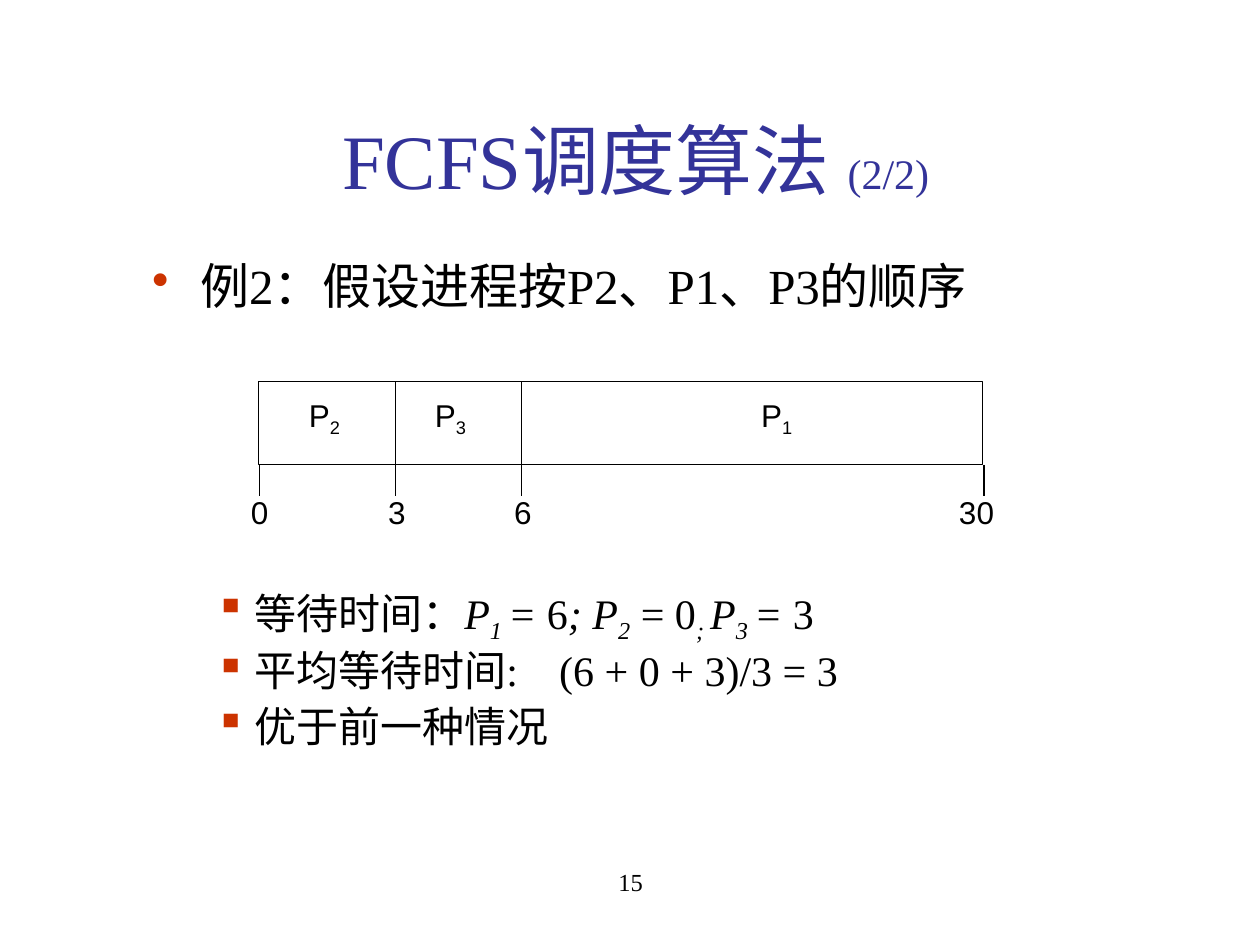
from lxml.etree import SubElement
from pptx import Presentation
from pptx.dml.color import RGBColor
from pptx.enum.shapes import MSO_CONNECTOR, MSO_SHAPE
from pptx.enum.text import MSO_ANCHOR, PP_ALIGN
from pptx.oxml.ns import qn
from pptx.util import Inches, Pt

BLACK = RGBColor(0x00, 0x00, 0x00)
WHITE = RGBColor(0xFF, 0xFF, 0xFF)
BLUE = RGBColor(0x33, 0x33, 0x99)
RED = RGBColor(0xCC, 0x33, 0x00)
SERIF = "Times New Roman"
SANS = "Arial"
CHINESE = "Noto Sans CJK SC"


def add_text(left, top, width, height, wrap=True, anchor=MSO_ANCHOR.MIDDLE):
    box = slide.shapes.add_textbox(Inches(left), Inches(top), Inches(width), Inches(height))
    frame = box.text_frame
    frame.word_wrap = wrap
    frame.vertical_anchor = anchor
    frame.paragraphs[0].alignment = PP_ALIGN.CENTER
    return frame


def add_run(paragraph, text, baseline=0, **values):
    run = paragraph.add_run()
    run.text = text
    run.font.color.rgb = values.pop("color", BLACK)
    for name, value in values.items():
        setattr(run.font, name, value)
    SubElement(run.font._element, qn("a:ea"), typeface=CHINESE)
    if baseline:
        run.font._element.set("baseline", str(baseline))


presentation = Presentation()
presentation.slide_width = Inches(10)
presentation.slide_height = Inches(7.5)
slide = presentation.slides.add_slide(presentation.slide_layouts[6])

title = add_text(0.71, 1.01, 8.67, 0.5).paragraphs[0]
for text, font, size in [("FCFS", SERIF, 44), ("调度算法 ", CHINESE, 44), ("(2/2)", SERIF, 24)]:
    add_run(title, text, name=font, size=Pt(size), color=BLUE)

serif = {"name": SERIF}
italic = {"name": SERIF, "italic": True}
subscript = {**italic, "baseline": -25000}
chinese = {"name": CHINESE}
items = [
    (0, 0, [("例2：假设进程按P2、P1、P3的顺序", serif)]),
    (1, 156, [
        ("等待时间：", chinese), ("P", italic), ("1 ", subscript), ("=", italic),
        (" 6", serif), ("; P", italic), ("2", subscript), (" = 0", serif),
        ("; ", subscript), ("P", italic), ("3 ", subscript), ("= ", italic), ("3", serif),
    ]),
    (1, 6, [("平均等待时间", chinese), (":\t(6 + 0 + 3)/3 = 3", serif)]),
    (1, 6, [("优于前一种情况", chinese)]),
]
levels = [
    {"margin": 0.38, "indent": -0.38, "bullet": "•", "size": 28},
    {"margin": 0.81, "indent": -0.31, "bullet": "▪", "size": 24},
]
body = add_text(1.11, 2.03, 8.25, 4.5, anchor=MSO_ANCHOR.TOP)
for index, (level, space, runs) in enumerate(items):
    style = levels[level]
    paragraph = body.paragraphs[0] if index == 0 else body.add_paragraph()
    formats = {"alignment": PP_ALIGN.LEFT, "level": level, "line_spacing": 0.9, "space_before": Pt(space)}
    for name, value in formats.items():
        setattr(paragraph, name, value)
    properties = paragraph._p.get_or_add_pPr()
    properties.set("marL", str(Inches(style["margin"])))
    properties.set("indent", str(Inches(style["indent"])))
    bullet_color = SubElement(properties, qn("a:buClr"))
    SubElement(bullet_color, qn("a:srgbClr"), val=str(RED))
    SubElement(properties, qn("a:buChar"), char=style["bullet"])
    tabs = SubElement(properties, qn("a:tabLst"))
    SubElement(tabs, qn("a:tab"), pos=str(Inches(3.23)), algn="l")
    for text, values in runs:
        add_run(paragraph, text, size=Pt(style["size"]), **values)

bar_top, bar_bottom, tick_bottom = 3.03, 3.69, 3.94
bar = slide.shapes.add_shape(
    MSO_SHAPE.RECTANGLE, Inches(2.05), Inches(bar_top), Inches(5.75), Inches(bar_bottom - bar_top))
bar.shadow.inherit = False
bar.fill.solid()
bar.fill.fore_color.rgb = WHITE
bar.line.color.rgb = BLACK
bar.line.width = Pt(0.75)

for number, left in [("2", 2.35), ("3", 3.35), ("1", 5.94)]:
    process = add_text(left, 3.09, 0.45, 0.44, wrap=False).paragraphs[0]
    add_run(process, "P", name=SANS, size=Pt(18))
    add_run(process, number, baseline=-25000, name=SANS, size=Pt(18))

ticks = [(2.06, bar_bottom), (3.14, bar_top), (4.14, bar_top), (7.81, bar_bottom)]
for x, top in ticks:
    line = slide.shapes.add_connector(
        MSO_CONNECTOR.STRAIGHT, Inches(x), Inches(top), Inches(x), Inches(tick_bottom))
    line.line.color.rgb = BLACK
    line.line.width = Pt(0.75)
    SubElement(line._element.spPr, qn("a:effectLst"))

for time, left, width in [("0", 1.89, 0.34), ("3", 2.98, 0.34), ("6", 3.98, 0.34), ("30", 7.51, 0.48)]:
    label = add_text(left, 3.86, width, 0.4, wrap=False).paragraphs[0]
    add_run(label, time, name=SANS, size=Pt(18))

page_number = add_text(3.42, 6.83, 3.17, 0.5, anchor=MSO_ANCHOR.TOP).paragraphs[0]
add_run(page_number, "15", name=SERIF, size=Pt(14))

presentation.save("out.pptx")
